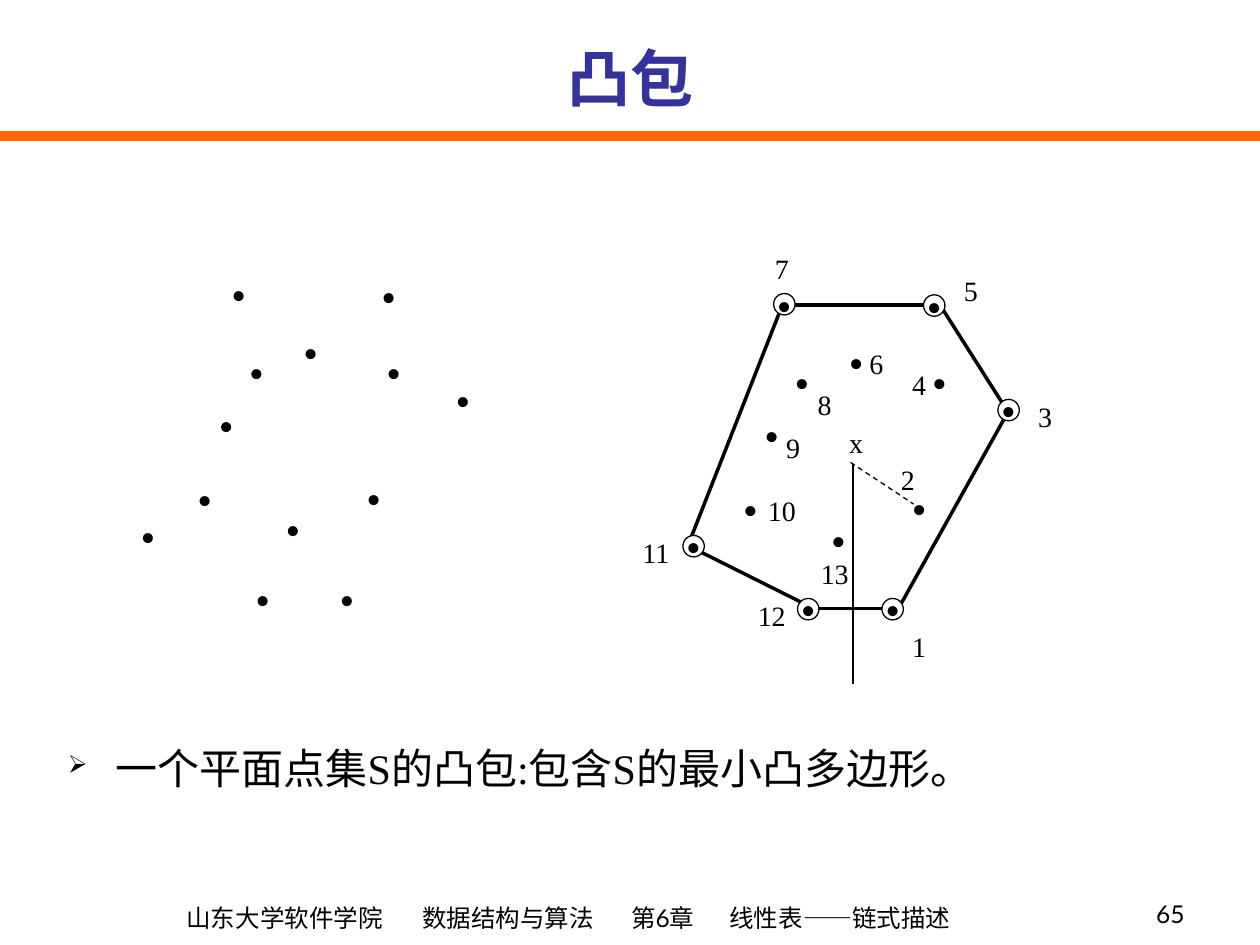
"""Build a slide that shows a planar point set and its convex hull."""
from typing import NamedTuple

from lxml import etree
from pptx import Presentation
from pptx import util as u
from pptx.dml.color import RGBColor
from pptx.enum import dml, shapes, text
from pptx.oxml import ns

BLACK, WHITE, ORANGE, NAVY = "000000", "FFFFFF", "FF6600", "333399"
SANS, SERIF = "Lato", "Times New Roman"
RING, LABEL_WIDTH, LABEL_HEIGHT, DOT_HEIGHT = 0.17, 0.25, 0.27, 0.4
SET_SHIFT = (-4.33, -0.08)


class Vertex(NamedTuple):
    label: str
    ring: tuple[float, float]
    corner: tuple[float, float]
    label_at: tuple[float, float]


class Point(NamedTuple):
    label: str
    dot: tuple[float, float]
    label_at: tuple[float, float]


HULL = [
    Vertex("1", (7, 4.75), (7.13, 4.83), (7.17, 5)),
    Vertex("3", (7.92, 3.17), (8, 3.27), (8.17, 3.17)),
    Vertex("5", (7.33, 2.34), (7.46, 2.42), (7.58, 2.17)),
    Vertex("7", (6.14, 2.33), (6.21, 2.42), (6.08, 2)),
    Vertex("11", (5.42, 4.25), (5.46, 4.33), (5.08, 4.25)),
    Vertex("12", (6.33, 4.75), (6.46, 4.83), (6, 4.75)),
]
INNER = [
    Point("2", (7.17, 3.83), (7.08, 3.67)),
    Point("4", (7.33, 2.83), (7.17, 2.92)),
    Point("6", (6.67, 2.67), (6.83, 2.75)),
    Point("8", (6.24, 2.83), (6.42, 3.08)),
    Point("9", (6, 3.25), (6.17, 3.42)),
    Point("10", (5.83, 3.84), (6.08, 3.92)),
    Point("13", (6.53, 4.08), (6.5, 4.42)),
]


def color(value: str) -> RGBColor:
    """Turn a hex string into a colour."""
    return RGBColor.from_string(value)


def write(box, words: str, *, size: float, font: str = SERIF, fill: str = BLACK,
          bold: bool = False, align=text.PP_ALIGN.CENTER,
          anchor=text.MSO_ANCHOR.TOP, wrap: bool = True,
          insets: tuple = (0, 0, 0, 0)):
    """Put one formatted paragraph in a shape and return the paragraph."""
    frame = box.text_frame
    frame.word_wrap = wrap
    frame.vertical_anchor = anchor
    (frame.margin_left, frame.margin_top,
     frame.margin_right, frame.margin_bottom) = map(u.Inches, insets)
    para = frame.paragraphs[0]
    para.alignment = align
    span = para.add_run()
    span.text = words
    span.font.size = u.Pt(size)
    span.font.name = font
    span.font.bold = bold
    span.font.color.rgb = color(fill)
    return para


def add_text(parent, words: str, place: tuple, **look):
    """Add a text box at left, top, width and height."""
    box = parent.add_textbox(*map(u.Inches, place))
    return write(box, words, **look)


def add_line(parent, start: tuple, end: tuple, width: float,
             fill: str = BLACK, dashed: bool = False) -> None:
    """Draw a straight line without a shadow."""
    line = parent.add_connector(shapes.MSO_CONNECTOR.STRAIGHT,
                                *map(u.Inches, (*start, *end)))
    line.line.color.rgb = color(fill)
    line.line.width = u.Pt(width)
    if dashed:
        line.line.dash_style = dml.MSO_LINE.DASH
    etree.SubElement(line._element.spPr, ns.qn("a:effectLst"))


def add_ring(parent, left: float, top: float, outlined: bool) -> None:
    """Draw a white disc with a dot in its middle."""
    ring = parent.add_shape(shapes.MSO_SHAPE.FLOWCHART_CONNECTOR,
                            *map(u.Inches, (left, top, RING, RING)))
    ring.shadow.inherit = False
    ring.fill.solid()
    ring.fill.fore_color.rgb = color(WHITE)
    if outlined:
        ring.line.color.rgb = color(BLACK)
        ring.line.width = u.Pt(0.75)
    else:
        ring.line.fill.background()
    write(ring, "•", size=24, anchor=text.MSO_ANCHOR.MIDDLE, wrap=False,
          insets=(0.1, 0.05, 0.1, 0.05))


def add_points(parent, shift: tuple = (0, 0), outlined: bool = False) -> None:
    """Draw every point of the set, moved by a shift."""
    right, down = shift
    for vertex in HULL:
        left, top = vertex.ring
        add_ring(parent, left + right, top + down, outlined)
    for point in INNER:
        left, top = point.dot
        add_text(parent, "•", (left + right, top + down, LABEL_WIDTH, DOT_HEIGHT),
                 size=24)


def add_label(parent, words: str, spot: tuple) -> None:
    """Write a small label."""
    add_text(parent, words, (*spot, LABEL_WIDTH, LABEL_HEIGHT), size=16)


def add_bullet(para) -> None:
    """Give a paragraph a hanging arrow bullet."""
    props = para._p.get_or_add_pPr()
    props.set("marL", str(u.Inches(0.38)))
    props.set("indent", str(-u.Inches(0.38)))
    tint = etree.SubElement(props, ns.qn("a:buClr"))
    etree.SubElement(tint, ns.qn("a:srgbClr"), val=BLACK)
    etree.SubElement(props, ns.qn("a:buSzPct"), val="60000")
    etree.SubElement(props, ns.qn("a:buChar"), char="➢")


def add_tabs(para, stops: tuple) -> None:
    """Set left tab stops given in inches."""
    tabs = etree.SubElement(para._p.get_or_add_pPr(), ns.qn("a:tabLst"))
    for stop in stops:
        etree.SubElement(tabs, ns.qn("a:tab"), pos=str(u.Inches(stop)), algn="l")


def add_frame(page) -> None:
    """Draw the title, the rule under it and the footer."""
    add_line(page.shapes, (0, 1.08), (10, 1.08), 6, ORANGE)
    title = page.shapes.title
    title.left, title.top, title.width, title.height = map(
        u.Inches, (0, 0.29, 10, 0.67))
    write(title, "凸包", size=36, font=SANS, fill=NAVY, bold=True,
          anchor=text.MSO_ANCHOR.BOTTOM, insets=(0.1, 0.05, 0.1, 0.05))
    footer = add_text(page.shapes, "山东大学软件学院\t数据结构与算法\t第6章\t线性表——链式描述",
                      (0.66, 6.95, 7.73, 0.5), size=14, font=SANS,
                      align=text.PP_ALIGN.LEFT, anchor=text.MSO_ANCHOR.BOTTOM,
                      insets=(0.82, 0.05, 0.1, 0.05))
    add_tabs(footer, (1.87, 3.53, 4.31))
    add_text(page.shapes, "65", (7.42, 6.92, 2.08, 0.5), size=14, font=SANS,
             align=text.PP_ALIGN.RIGHT, anchor=text.MSO_ANCHOR.BOTTOM,
             insets=(0.1, 0.05, 0.1, 0.05))


def add_figures(page) -> None:
    """Draw the hull with its labels beside the bare point set."""
    hull = page.shapes.add_group_shape().shapes
    for vertex, following in zip(HULL, HULL[1:] + HULL[:1]):
        add_line(hull, vertex.corner, following.corner, 2)
    add_points(hull, outlined=True)
    add_points(page.shapes.add_group_shape().shapes, SET_SHIFT)
    add_line(page.shapes, (6.77, 3.68), (6.77, 5.43), 0.75)
    labels = page.shapes.add_group_shape().shapes
    for item in HULL + INNER:
        add_label(labels, item.label, item.label_at)
    add_line(page.shapes, (6.75, 3.67), (7.25, 4), 0.75, dashed=True)
    add_label(page.shapes, "x", (6.67, 3.38))


def main() -> None:
    """Build and save the deck."""
    deck = Presentation()
    deck.slide_width, deck.slide_height = u.Inches(10), u.Inches(7.5)
    page = deck.slides.add_slide(deck.slide_layouts[5])
    add_frame(page)
    add_figures(page)
    definition = add_text(page.shapes, "一个平面点集S的凸包:包含S的最小凸多边形。",
                          (0.44, 5.84, 9.29, 0.5), size=24,
                          align=text.PP_ALIGN.LEFT, insets=(0.1, 0.05, 0.1, 0.05))
    add_bullet(definition)
    deck.save("out.pptx")


if __name__ == "__main__":
    main()
